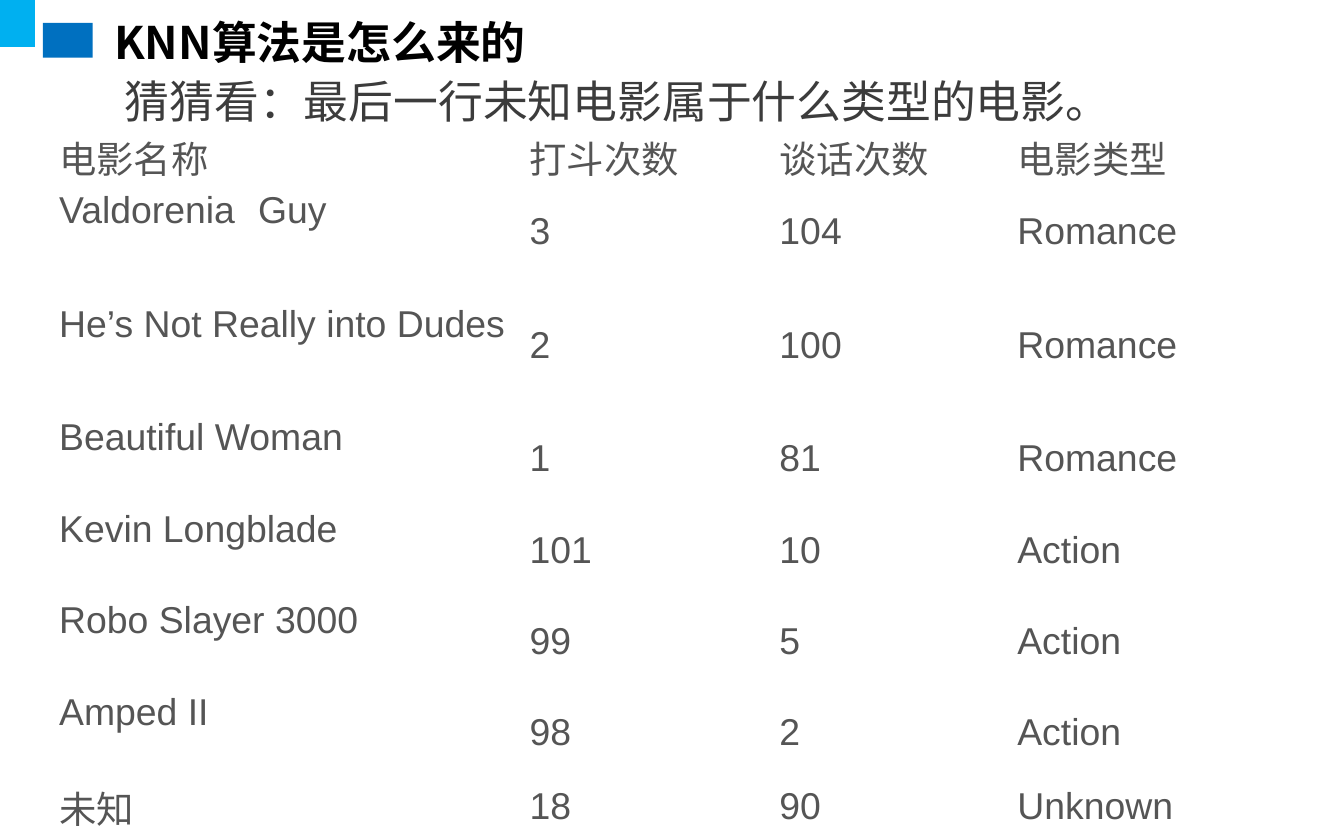
from lxml import etree
from pptx import Presentation
from pptx import util as u
from pptx.dml import color
from pptx.enum import shapes, text
from pptx.oxml import ns

COLORS = {"corner": "00B0F0", "marker": "0070C0", "title": "000000",
          "question": "3C3C3C", "cell": "555555"}
CJK_FONT = "Noto Sans CJK SC"


def add_span(para, words, size, hue, font="Arial", bold=False):
    span = para.add_run()
    span.text = words
    span.font.size = u.Pt(size)
    span.font.bold = bold
    span.font.name = font
    span.font.color.rgb = color.RGBColor.from_string(COLORS[hue])
    east_asian = etree.SubElement(span.font._element, ns.qn("a:ea"))
    east_asian.set("typeface", CJK_FONT)


deck = Presentation()
deck.slide_width = u.Inches(10)
deck.slide_height = u.Inches(6.25)
page = deck.slides.add_slide(deck.slide_layouts[5])

for hue, place in (("corner", (-0.01, 0, 0.27, 0.35)),
                   ("marker", (0.32, 0.17, 0.37, 0.26))):
    block = page.shapes.add_shape(shapes.MSO_SHAPE.RECTANGLE, *map(u.Inches, place))
    block.shadow.inherit = False
    block.fill.solid()
    block.fill.fore_color.rgb = color.RGBColor.from_string(COLORS[hue])
    block.line.fill.background()

title = page.shapes.title
title.left, title.top, title.width, title.height = map(u.Inches, (0.75, 0.08, 6.53, 0.46))
title.text_frame.vertical_anchor = text.MSO_ANCHOR.MIDDLE
title.text_frame.auto_size = text.MSO_AUTO_SIZE.NONE
para = title.text_frame.paragraphs[0]
para.alignment = text.PP_ALIGN.LEFT
add_span(para, "KNN算法是怎么来的", 24, "title", CJK_FONT, True)

films = [
    ("电影名称", "打斗次数", "谈话次数", "电影类型"),
    ("Valdorenia\tGuy", "3", "104", "Romance"),
    ("He’s Not Really into Dudes", "2", "100", "Romance"),
    ("Beautiful Woman", "1", "81", "Romance"),
    ("Kevin Longblade", "101", "10", "Action"),
    ("Robo Slayer 3000", "99", "5", "Action"),
    ("Amped II", "98", "2", "Action"),
    ("未知", "18", "90", "Unknown"),
]
column_widths = [3.5, 1.86, 1.77, 2.2]
row_heights = [0.35, 0.68, 1.01] + [0.68] * 4 + [0.35]
frame = page.shapes.add_table(len(films), len(column_widths), u.Inches(0.43), u.Inches(0.96),
                              u.Inches(sum(column_widths)), u.Inches(sum(row_heights)))
table = frame.table
table.first_row = False
table.horz_banding = False
for column, width in zip(table.columns, column_widths):
    column.width = u.Inches(width)
for row, height in zip(table.rows, row_heights):
    row.height = u.Inches(height)

for r, film in enumerate(films):
    for c, words in enumerate(film):
        cell = table.cell(r, c)
        cell.fill.background()
        cell.vertical_anchor = text.MSO_ANCHOR.MIDDLE
        cell.margin_left = cell.margin_right = cell.margin_top = u.Inches(0.01)
        raised = c == 0 and 0 < r < len(films) - 1
        cell.margin_bottom = u.Inches(0.32 if raised else 0.01)
        para = cell.text_frame.paragraphs[0]
        if "\t" in words:
            stops = etree.SubElement(para._p.get_or_add_pPr(), ns.qn("a:tabLst"))
            etree.SubElement(stops, ns.qn("a:tab"), pos=str(u.Inches(1.48)), algn="l")
        add_span(para, words, 20, "cell")

question = page.shapes.add_textbox(*map(u.Inches, (0.83, 0.5, 8.27, 0.5)))
question.text_frame.word_wrap = True
question.text_frame.auto_size = text.MSO_AUTO_SIZE.SHAPE_TO_FIT_TEXT
para = question.text_frame.paragraphs[0]
para.alignment = text.PP_ALIGN.JUSTIFY
add_span(para, "猜猜看：最后一行未知电影属于什么类型的电影。", 24, "question")

deck.save("out.pptx")
